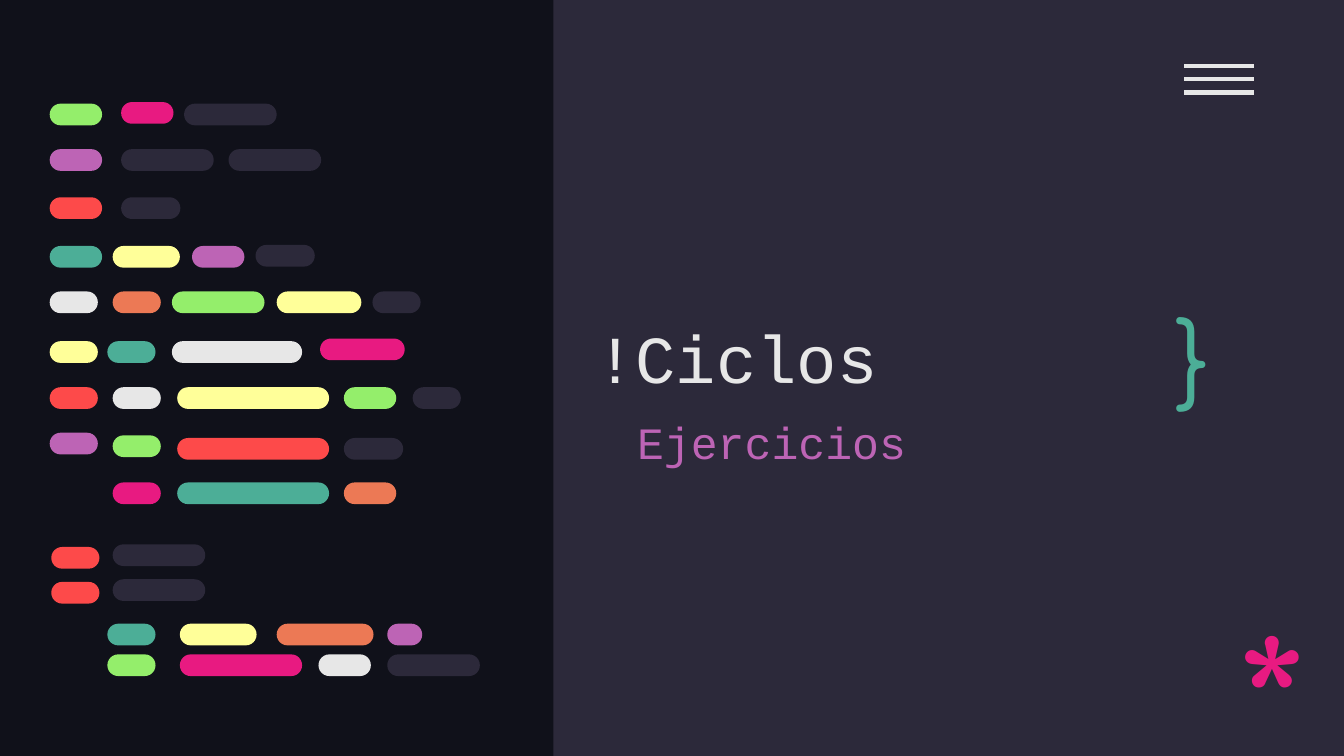
from dataclasses import dataclass

from lxml.etree import SubElement
from pptx import Presentation
from pptx.dml.color import RGBColor
from pptx.enum.shapes import MSO_CONNECTOR, MSO_SHAPE
from pptx.enum.text import MSO_ANCHOR, MSO_AUTO_SIZE, PP_ALIGN
from pptx.oxml.ns import qn
from pptx.shapes.autoshape import Shape
from pptx.slide import Slide
from pptx.util import Cm, Pt

COLORS = {
    "night": "10111A", "slate": "2C293A", "white": "E7E7E7", "pink": "E81A81",
    "green": "94EE6B", "purple": "BD64B5", "red": "FD4A4A", "teal": "4CAE97",
    "yellow": "FFFF99", "orange": "EC7955",
}
PILL_HEIGHT = 0.41


@dataclass
class Pill:
    left: float
    width: float
    color: str
    shift: float = 0  # vertical offset from the row, in cm


@dataclass
class CodeRow:
    top: float
    pills: list[Pill]


@dataclass
class Label:
    text: str
    box: tuple[float, float, float, float]
    size: int
    font: str
    color: str
    anchor: MSO_ANCHOR = MSO_ANCHOR.TOP


CODE_ROWS = [
    CodeRow(1.96, [Pill(0.94, 0.99, "green"), Pill(2.29, 0.99, "pink", -0.03),
                   Pill(3.48, 1.75, "slate")]),
    CodeRow(2.82, [Pill(0.94, 0.99, "purple"), Pill(2.29, 1.75, "slate"),
                   Pill(4.32, 1.75, "slate")]),
    CodeRow(3.73, [Pill(0.94, 0.99, "red"), Pill(2.29, 1.12, "slate")]),
    CodeRow(4.65, [Pill(0.94, 0.99, "teal"), Pill(2.13, 1.27, "yellow"),
                   Pill(3.63, 0.99, "purple"), Pill(4.83, 1.12, "slate", -0.02)]),
    CodeRow(5.51, [Pill(0.94, 0.91, "white"), Pill(2.13, 0.91, "orange"),
                   Pill(3.25, 1.75, "green"), Pill(5.23, 1.6, "yellow"),
                   Pill(7.04, 0.91, "slate")]),
    CodeRow(6.45, [Pill(0.94, 0.91, "yellow"), Pill(2.03, 0.91, "teal"),
                   Pill(3.25, 2.46, "white"), Pill(6.05, 1.6, "pink", -0.05)]),
    CodeRow(7.32, [Pill(0.94, 0.91, "red"), Pill(2.13, 0.91, "white"),
                   Pill(3.35, 2.87, "yellow"), Pill(6.5, 0.99, "green"),
                   Pill(7.8, 0.91, "slate")]),
    CodeRow(8.18, [Pill(0.94, 0.91, "purple"), Pill(2.13, 0.91, "green", 0.05),
                   Pill(3.35, 2.87, "red", 0.1), Pill(6.5, 1.12, "slate", 0.1)]),
    CodeRow(9.12, [Pill(2.13, 0.91, "pink"), Pill(3.35, 2.87, "teal"),
                   Pill(6.5, 0.99, "orange")]),
    CodeRow(10.34, [Pill(0.97, 0.91, "red"), Pill(2.13, 1.75, "slate", -0.05)]),
    CodeRow(11, [Pill(0.97, 0.91, "red"), Pill(2.13, 1.75, "slate", -0.05)]),
    CodeRow(11.79, [Pill(2.03, 0.91, "teal"), Pill(3.4, 1.45, "yellow"),
                    Pill(5.23, 1.83, "orange"), Pill(7.32, 0.66, "purple")]),
    CodeRow(12.37, [Pill(2.03, 0.91, "green"), Pill(3.4, 2.31, "pink"),
                    Pill(6.02, 0.99, "white"), Pill(7.32, 1.75, "slate")]),
]
TITLE = Label("!Ciclos", (11, 5.41, 11.68, 2.34), 36, "Courier New", "white",
              MSO_ANCHOR.BOTTOM)
SUBTITLE = Label("Ejercicios", (11.79, 7.59, 13.97, 1.6), 24, "Courier New", "purple")
SYMBOLS = [
    Label("*", (23.14, 11.05, 1.45, 2.21), 96, "Comfortaa", "pink"),
    Label("}", (21.97, 5.36, 1.45, 2.41), 50, "Comfortaa", "teal"),
]


def rgb(name: str) -> RGBColor:
    return RGBColor.from_string(COLORS[name])


def draw_block(slide: Slide, kind: MSO_SHAPE, left: float, top: float,
               width: float, height: float, color: str) -> Shape:
    shape = slide.shapes.add_shape(kind, Cm(left), Cm(top), Cm(width), Cm(height))
    shape.shadow.inherit = False
    shape.fill.solid()
    shape.fill.fore_color.rgb = rgb(color)
    shape.line.fill.background()
    return shape


def draw_row(slide: Slide, row: CodeRow) -> None:
    for pill in row.pills:
        shape = draw_block(slide, MSO_SHAPE.ROUNDED_RECTANGLE, pill.left,
                           row.top + pill.shift, pill.width, PILL_HEIGHT, pill.color)
        shape.adjustments[0] = 0.5


def draw_menu_line(slide: Slide, top: float) -> None:
    line = slide.shapes.add_connector(MSO_CONNECTOR.STRAIGHT, Cm(22.38), Cm(top),
                                      Cm(23.7), Cm(top))
    line.line.color.rgb = rgb("white")
    line.line.width = Pt(2.25)
    SubElement(line.element.spPr, qn("a:effectLst"))


def write_label(shape: Shape, label: Label) -> None:
    shape.left, shape.top, shape.width, shape.height = map(Cm, label.box)
    frame = shape.text_frame
    frame.word_wrap = True
    frame.auto_size = MSO_AUTO_SIZE.NONE
    frame.vertical_anchor = label.anchor
    frame.margin_left = frame.margin_right = Cm(0.25)
    frame.margin_top = frame.margin_bottom = Cm(0.25)
    paragraph = frame.paragraphs[0]
    paragraph.alignment = PP_ALIGN.LEFT
    paragraph.space_before = Pt(0)
    run = paragraph.add_run()
    run.text = label.text
    run.font.size = Pt(label.size)
    run.font.name = label.font
    run.font.color.rgb = rgb(label.color)


def main() -> None:
    presentation = Presentation()
    presentation.slide_width, presentation.slide_height = Cm(25.4), Cm(14.29)
    slide = presentation.slides.add_slide(presentation.slide_layouts[0])

    # Background and right-hand panel
    slide.background.fill.solid()
    slide.background.fill.fore_color.rgb = rgb("night")
    draw_block(slide, MSO_SHAPE.RECTANGLE, 10.46, 0, 14.94, 14.29, "slate")

    # Menu icon
    for index in range(3):
        draw_menu_line(slide, 1.25 + 0.25 * index)

    # Abstract lines of code
    for row in CODE_ROWS:
        draw_row(slide, row)

    # Decorative symbols
    for symbol in SYMBOLS:
        write_label(slide.shapes.add_textbox(0, 0, 0, 0), symbol)

    # Title and subtitle, brought in front of the panel
    for placeholder, label in zip(list(slide.placeholders), (TITLE, SUBTITLE)):
        write_label(placeholder, label)
        placeholder.element.getparent().append(placeholder.element)

    presentation.save("out.pptx")


if __name__ == "__main__":
    main()
